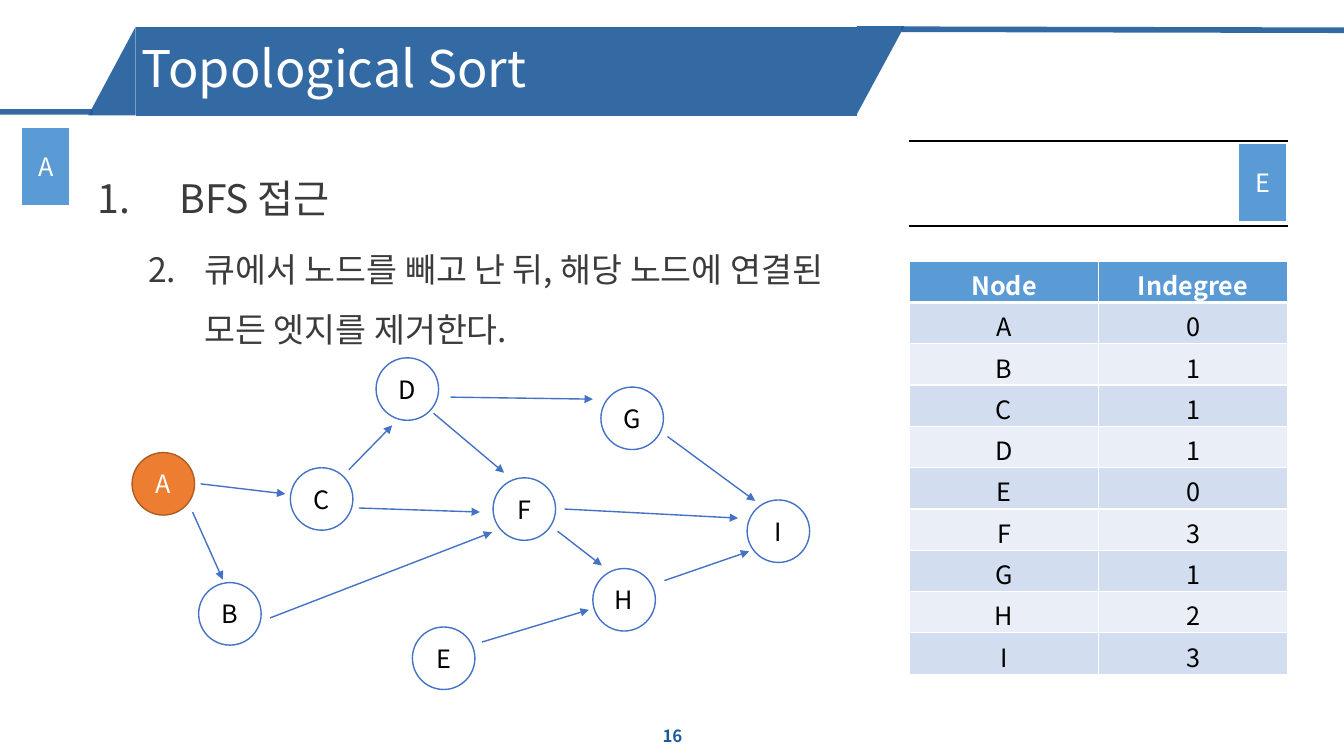
from lxml.etree import SubElement
from pptx import Presentation
from pptx.dml.color import RGBColor
from pptx.enum.shapes import MSO_CONNECTOR, MSO_SHAPE
from pptx.enum.text import MSO_ANCHOR, PP_ALIGN
from pptx.oxml.ns import qn
from pptx.util import Inches, Pt

FONT = "Noto Sans CJK KR"
COLORS = {
    "navy": "1E5A9B", "blue": "4472C4", "sky": "5B9BD5", "orange": "ED7D31",
    "rust": "AF5C24", "band_dark": "D2DEEF", "band_light": "EAEFF7",
    "text": "3B3B3B", "white": "FFFFFF", "black": "000000",
}
NODE_SIZE = 0.62
NODES = {
    "A": (1.31, 4.49), "B": (1.97, 5.78), "C": (2.88, 4.64),
    "D": (3.73, 3.55), "E": (4.09, 6.22), "F": (4.89, 4.74),
    "G": (5.96, 3.84), "H": (5.88, 5.64), "I": (7.41, 4.96),
}
EDGES = {
    "AC": (1.99, 4.8, 2.83, 4.9), "AB": (1.91, 5.08, 2.21, 5.75),
    "CD": (3.46, 4.66, 3.89, 4.22), "CF": (3.56, 5.04, 4.76, 5.08),
    "DF": (4.3, 4.1, 5, 4.69), "BF": (2.68, 6.13, 4.88, 5.28),
    "EH": (4.78, 6.37, 5.84, 6.05), "FI": (5.6, 5.05, 7.32, 5.14),
    "DG": (4.47, 3.94, 5.88, 3.96), "HI": (6.59, 5.76, 7.43, 5.47),
    "GI": (6.62, 4.33, 7.49, 4.97), "FH": (5.53, 5.27, 5.97, 5.61),
}
INDEGREES = {"A": 0, "B": 1, "C": 1, "D": 1, "E": 0,
             "F": 3, "G": 1, "H": 2, "I": 3}


def rgb(name):
    return RGBColor.from_string(COLORS[name])


def set_alpha(fill_owner, percent):
    for color in fill_owner.iter(qn("a:srgbClr")):
        SubElement(color, qn("a:alpha"), val=str(percent * 1000))


def add_run(p, text, size, color, bold=False):
    r = p.add_run()
    r.text = text
    r.font.name = FONT
    r.font.size = Pt(size)
    r.font.bold = bold
    r.font.color.rgb = rgb(color)
    SubElement(r.font._element, qn("a:ea"), typeface=FONT)


def add_block(shapes, kind, box, fill, line=None, width=1.0, rotation=0):
    sp = shapes.add_shape(kind, *map(Inches, box))
    sp.shadow.inherit = False
    sp.rotation = rotation
    sp.fill.solid()
    sp.fill.fore_color.rgb = rgb(fill)
    if line:
        sp.line.color.rgb = rgb(line)
        sp.line.width = Pt(width)
    else:
        sp.line.fill.background()
    return sp


def add_label(sp, text, color):
    tf = sp.text_frame
    tf.margin_left = tf.margin_right = 0
    tf.vertical_anchor = MSO_ANCHOR.MIDDLE
    p = tf.paragraphs[0]
    p.alignment = PP_ALIGN.CENTER
    add_run(p, text, 18, color)


def add_line(shapes, ends, color, width, arrow=False):
    line = shapes.add_connector(MSO_CONNECTOR.STRAIGHT, *map(Inches, ends))
    line.line.color.rgb = rgb(color)
    line.line.width = Pt(width)
    if arrow:
        SubElement(line.line._get_or_add_ln(), qn("a:tailEnd"), type="triangle")
    SubElement(line._element.spPr, qn("a:effectLst"))
    return line


def add_text_box(s, box, anchor=MSO_ANCHOR.TOP):
    tf = s.shapes.add_textbox(*map(Inches, box)).text_frame
    tf.word_wrap = True
    tf.vertical_anchor = anchor
    return tf


def add_numbered(p, number, lines, size, margin, indent):
    pPr = p._p.get_or_add_pPr()
    pPr.set("marL", str(Inches(margin)))
    pPr.set("indent", str(Inches(indent)))
    p.line_spacing = 1.5
    SubElement(pPr, qn("a:buFont"), typeface="+mj-lt")
    SubElement(pPr, qn("a:buAutoNum"), type="arabicPeriod", startAt=str(number))
    for i, text in enumerate(lines):
        if i:
            p.add_line_break()
        add_run(p, text, size, "text")


def add_ribbon(s):
    triangle = MSO_SHAPE.RIGHT_TRIANGLE
    parts = [
        add_block(s.shapes, triangle, (8.3, 0.46, 0.87, 0.47), "navy", rotation=90),
        add_line(s.shapes, (0.92, 1.11, -0.03, 1.11), "navy", 4),
        add_block(s.shapes, triangle, (0.67, 0.47, 0.88, 0.47), "navy", rotation=270),
        add_line(s.shapes, (13.33, 0.3, 8.94, 0.29), "navy", 4),
        add_block(s.shapes, MSO_SHAPE.RECTANGLE, (1.35, 0.27, 7.15, 0.88), "navy"),
    ]
    for part in parts:
        set_alpha(part._element.spPr, 90)


def add_graph(s):
    shapes = s.shapes.add_group_shape().shapes
    for ends in EDGES.values():
        add_line(shapes, ends, "blue", 1, arrow=True)
    for name, (x, y) in NODES.items():
        visited = name == "A"
        fill, line, color = (("orange", "rust", "white") if visited
                             else ("white", "blue", "black"))
        sp = add_block(shapes, MSO_SHAPE.OVAL, (x, y, NODE_SIZE, NODE_SIZE), fill, line)
        add_label(sp, name, color)


def set_borders(cell, bottom):
    tcPr = cell._tc.get_or_add_tcPr()
    widths = {"lnL": 1, "lnR": 1, "lnT": 1, "lnB": bottom}
    for i, (side, width) in enumerate(widths.items()):
        ln = tcPr.makeelement(qn("a:" + side), {"w": str(Pt(width))})
        fill = SubElement(ln, qn("a:solidFill"))
        SubElement(fill, qn("a:srgbClr"), val=COLORS["white"])
        tcPr.insert(i, ln)


def add_indegree_table(s):
    rows = [("Node", "Indegree"), *INDEGREES.items()]
    box = (9.02, 2.59, 3.75, 0.41 * len(rows))
    table = s.shapes.add_table(len(rows), 2, *map(Inches, box)).table
    for i, row in enumerate(rows):
        header = i == 0
        fill = "sky" if header else "band_dark" if i % 2 else "band_light"
        for j, value in enumerate(row):
            cell = table.cell(i, j)
            cell.fill.solid()
            cell.fill.fore_color.rgb = rgb(fill)
            set_borders(cell, 3 if header or i == 0 else 1)
            p = cell.text_frame.paragraphs[0]
            p.alignment = PP_ALIGN.CENTER
            add_run(p, str(value), 18, "white" if header else "black", header)


def add_queue(s):
    lines = s.shapes.add_group_shape().shapes
    for y in (1.4, 2.24):
        add_line(lines, (9.02, y, 12.77, y), "black", 1.5)
    for name, x, y in (("E", 12.28, 1.42), ("A", 0.21, 1.26)):
        sp = add_block(s.shapes, MSO_SHAPE.RECTANGLE, (x, y, 0.49, 0.78),
                       "sky", "white", 1.5)
        add_label(sp, name, "white")


def main():
    prs = Presentation()
    prs.slide_width, prs.slide_height = Inches(13.33), Inches(7.5)
    s = prs.slides.add_slide(prs.slide_layouts[6])

    # Title ribbon and page number
    add_ribbon(s)
    p = add_text_box(s, (5.17, 7.1, 3, 0.4), MSO_ANCHOR.MIDDLE).paragraphs[0]
    p.alignment = PP_ALIGN.CENTER
    add_run(p, "16", 12, "navy", bold=True)
    p = add_text_box(s, (1.31, 0.3, 7.15, 0.81), MSO_ANCHOR.MIDDLE).paragraphs[0]
    p.line_spacing = 0.9
    add_run(p, "Topological Sort", 36, "white")

    # Numbered steps
    tf = add_text_box(s, (0.87, 1.45, 11.48, 5.61))
    add_numbered(tf.paragraphs[0], 1, ["BFS 접근"], 28, 0.81, -0.81)
    p = tf.add_paragraph()
    p.level = 1
    p.space_before = Pt(5)
    steps = ["큐에서 노드를 빼고 난 뒤, 해당 노드에 연결된", "모든 엣지를 제거한다."]
    add_numbered(p, 2, steps, 24, 1.06, -0.56)

    # Graph, indegree table and queue
    add_graph(s)
    add_indegree_table(s)
    add_queue(s)
    prs.save("out.pptx")


if __name__ == "__main__":
    main()
